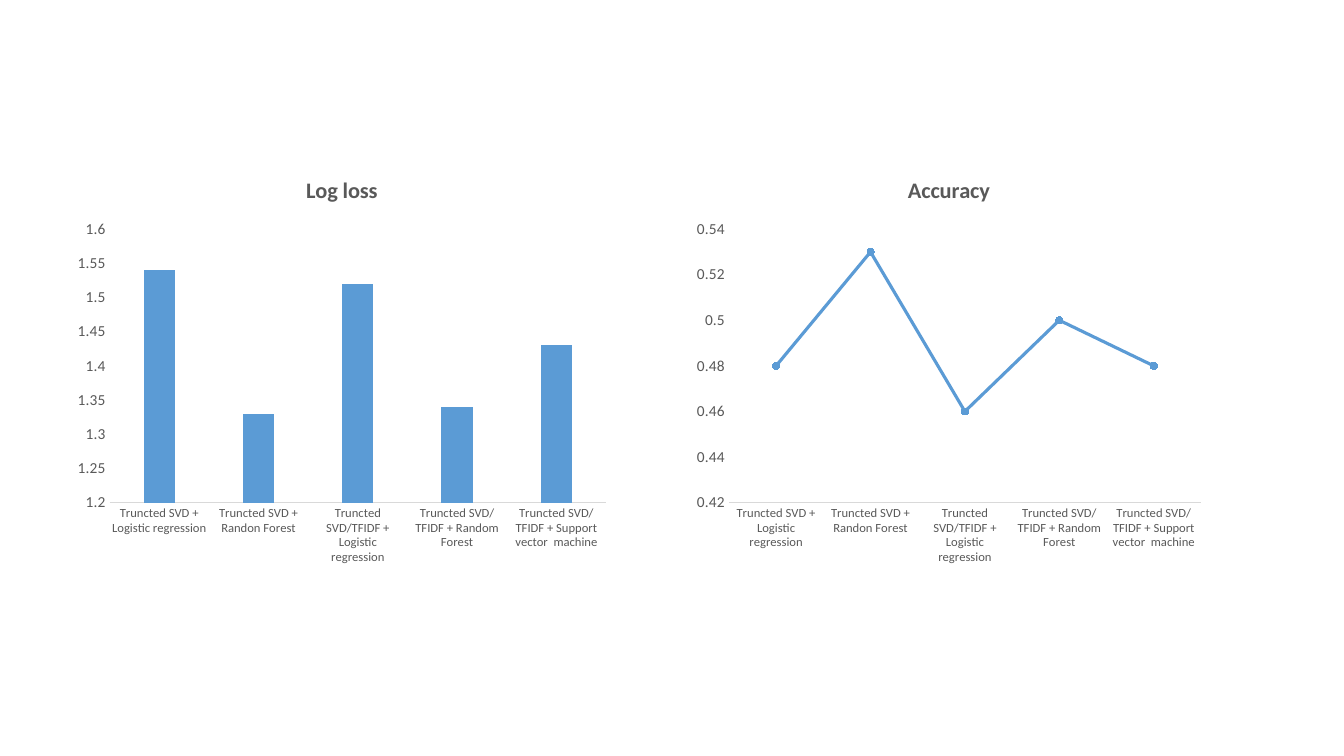
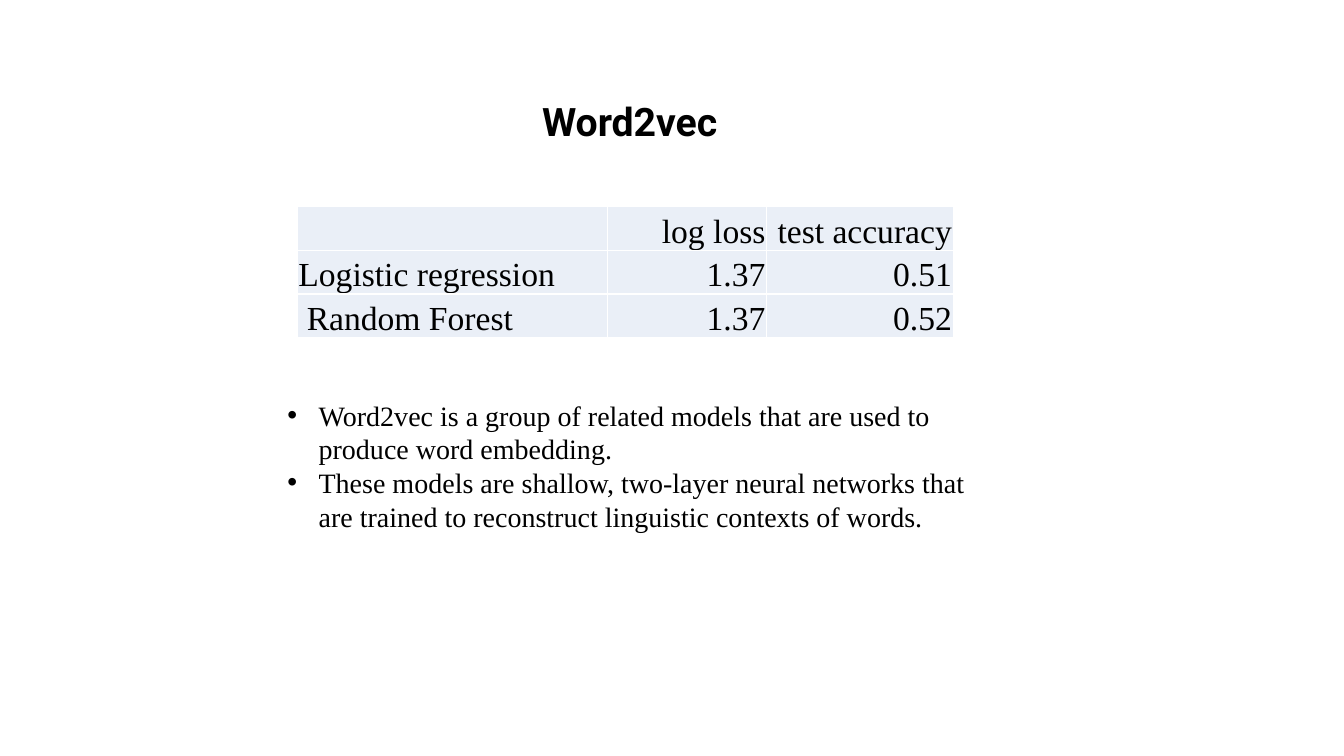
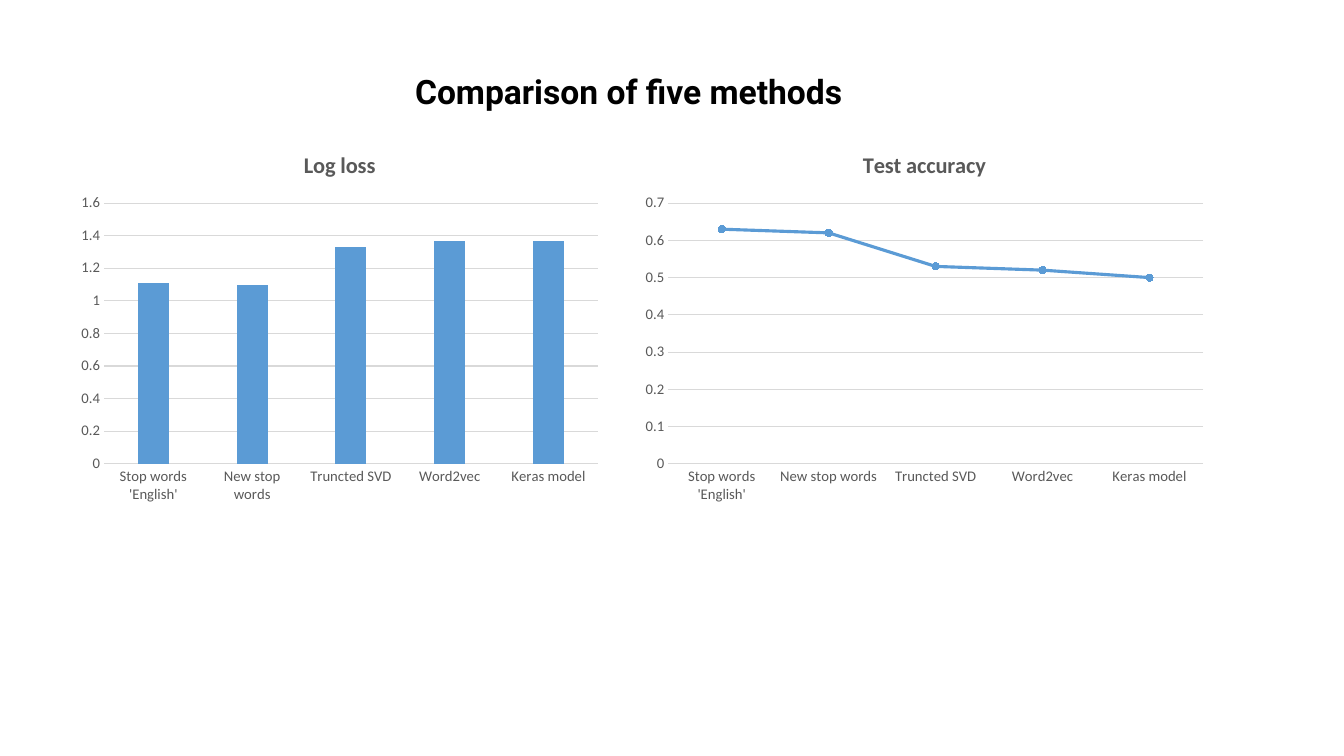
from lxml.etree import SubElement
from pptx import Presentation
from pptx.chart.data import CategoryChartData
from pptx.dml.color import RGBColor
from pptx.enum.chart import XL_CHART_TYPE as ChartType, XL_MARKER_STYLE as Marker, XL_TICK_MARK as Tick
from pptx.enum.text import MSO_ANCHOR as Anchor, MSO_AUTO_SIZE as AutoSize, PP_ALIGN as Align
from pptx.oxml.ns import qn
from pptx.util import Cm, Pt

COLORS = {"ink": "000000", "label": "595959", "rule": "D9D9D9",
          "series": "5B9BD5", "cell": "EAEFF7", "border": "FFFFFF"}
HEADING, BODY, CHART = "Roboto", "Times New Roman", "Calibri"


def color(name):
    return RGBColor.from_string(COLORS[name])


def style_font(font, size, name=CHART, ink="label", bold=False):
    font.size, font.name, font.bold = Pt(size), name, bold
    font.color.rgb = color(ink)


def write(paragraph, text, align=Align.LEFT, bullet=None, **font):
    paragraph.alignment = align
    run = paragraph.add_run()
    run.text = text
    style_font(run.font, **font)
    if bullet:
        props = paragraph._p.get_or_add_pPr()
        indent = int(Cm(0.79))
        props.set("marL", str(indent))
        props.set("indent", str(-indent))
        SubElement(props, qn("a:buFont"), typeface="Arial")
        SubElement(props, qn("a:buChar"), char=bullet)


class Deck:
    """Holds the shared style and the slide being built."""

    def __init__(self):
        self.show = Presentation()
        self.show.slide_width, self.show.slide_height = Cm(33.87), Cm(19.05)
        self.slide = None

    def new_slide(self):
        self.slide = self.show.slides.add_slide(self.show.slide_layouts[6])

    def text(self, lines, box, wrap=True, **style):
        frame = self.slide.shapes.add_textbox(*map(Cm, box)).text_frame
        frame.word_wrap = wrap
        frame.auto_size = AutoSize.SHAPE_TO_FIT_TEXT
        for index, line in enumerate(lines):
            paragraph = frame.add_paragraph() if index else frame.paragraphs[0]
            write(paragraph, line, **style)

    def heading(self, title, box, size, wrap=True):
        self.text([title], box, wrap, size=size, name=HEADING, ink="ink", bold=True)

    def table(self, rows, box, widths, row_height):
        table = self.slide.shapes.add_table(len(rows), len(widths), *map(Cm, box)).table
        table.first_row = table.horz_banding = False
        for column, width in zip(table.columns, widths):
            column.width = Cm(width)
        for r, row in enumerate(rows):
            table.rows[r].height = Cm(row_height)
            for c, value in enumerate(row):
                self.cell(table.cell(r, c), value, Align.RIGHT if c else Align.LEFT)

    def cell(self, cell, value, align):
        cell.margin_left = cell.margin_right = cell.margin_top = Cm(0.03)
        cell.margin_bottom = 0
        cell.vertical_anchor = Anchor.BOTTOM
        props = cell._tc.get_or_add_tcPr()
        for side in ("lnL", "lnR", "lnT", "lnB"):
            line = SubElement(props, qn(f"a:{side}"), w=str(int(Pt(1))))
            fill = SubElement(line, qn("a:solidFill"))
            SubElement(fill, qn("a:srgbClr"), val=COLORS["border"])
        cell.fill.solid()
        cell.fill.fore_color.rgb = color("cell")
        if value:
            write(cell.text_frame.paragraphs[0], value, align, size=24, name=BODY, ink="ink")

    def chart(self, kind, title, categories, values, box, scale, sizes, grid):
        data = CategoryChartData()
        data.categories = categories
        data.add_series(title, values)
        chart = self.slide.shapes.add_chart(kind, *map(Cm, box), data).chart
        style_font(chart.font, 10, ink="ink")
        chart.has_legend = False
        chart.has_title = True
        write(chart.chart_title.text_frame.paragraphs[0], title, Align.CENTER, size=16, bold=True)
        chart.chart_title.include_in_layout = False
        self.axes(chart, scale, sizes, grid)
        plot = chart.plots[0]
        plot.vary_by_categories = False
        series = plot.series[0]
        if kind == ChartType.COLUMN_CLUSTERED:
            plot.gap_width, plot.overlap = 219, -27
            self.paint(series.format.fill)
        else:
            series.smooth = False
            series.format.line.width = Pt(2.25)
            self.paint(series.format.line.fill)
            series.marker.style, series.marker.size = Marker.CIRCLE, 5
            self.paint(series.marker.format.fill)
            self.paint(series.marker.format.line.fill)

    def paint(self, fill, name="series"):
        fill.solid()
        fill.fore_color.rgb = color(name)

    def axes(self, chart, scale, sizes, grid):
        categories, values = chart.category_axis, chart.value_axis
        for axis, size in zip((categories, values), sizes):
            axis.major_tick_mark = axis.minor_tick_mark = Tick.NONE
            style_font(axis.tick_labels.font, size)
        values.minimum_scale, values.maximum_scale, values.major_unit = scale
        values.tick_labels.number_format = "General"
        values.tick_labels.number_format_is_linked = False
        values.format.line.fill.background()
        values.has_major_gridlines = grid
        rules = [categories.format.line]
        if grid:
            rules.append(values.major_gridlines.format.line)
        for rule in rules:
            rule.width = Pt(0.75)
            self.paint(rule.fill, "rule")

    def chart_pair(self, categories, charts, top, height, sizes, grid=False):
        kinds = (ChartType.COLUMN_CLUSTERED, ChartType.LINE_MARKERS)
        for kind, (title, values, left, width, scale) in zip(kinds, charts):
            self.chart(kind, title, categories, values,
                       (left, top, width, height), scale, sizes, grid)


def main():
    deck = Deck()

    deck.new_slide()
    svd_models = ["Truncted SVD + Logistic regression", "Truncted SVD + Randon Forest",
                  "Truncted SVD/TFIDF + Logistic regression",
                  "Truncted SVD/TFIDF + Random Forest",
                  "Truncted SVD/TFIDF + Support vector  machine"]
    deck.chart_pair(svd_models, [
        ("Log loss", (1.54, 1.33, 1.52, 1.34, 1.43), 1.68, 13.87, (1.2, 1.6, 0.05)),
        ("Accuracy", (0.48, 0.53, 0.46, 0.5, 0.48), 17.3, 13.23, (0.42, 0.54, 0.02)),
    ], top=3.99, height=10.21, sizes=(9, 11))

    deck.new_slide()
    deck.heading("Word2vec", (13.41, 2.34, 5.26, 1.45), 28, wrap=False)
    deck.table([("", "log loss", "test accuracy"),
                ("Logistic regression", "1.37", "0.51"),
                (" Random Forest", "1.37", "0.52")],
               (7.49, 5.21, 16.51, 3.3), (7.82, 4.01, 4.7), 1.1)
    deck.text(["Word2vec is a group of related models that are used to produce word embedding.",
               "These models are shallow, two-layer neural networks that are trained to "
               "reconstruct linguistic contexts of words."],
              (6.99, 9.91, 18.08, 3.68), bullet="•", size=20, name=BODY, ink="ink")

    deck.new_slide()
    methods = ["Stop words 'English'", "New stop words", "Truncted SVD", "Word2vec", "Keras model"]
    deck.chart_pair(methods, [
        ("Log loss", (1.11, 1.1, 1.33, 1.37, 1.37), 1.78, 13.56, (0, 1.6, 0.2)),
        ("Test accuracy", (0.63, 0.62, 0.53, 0.52, 0.5), 15.98, 14.63, (0, 0.7, 0.1)),
    ], top=3.35, height=9.53, sizes=(10.5, 10.5), grid=True)
    deck.heading("Comparison of five methods", (10.21, 1.65, 12.6, 1.27), 24)

    deck.show.save("out.pptx")


if __name__ == "__main__":
    main()
